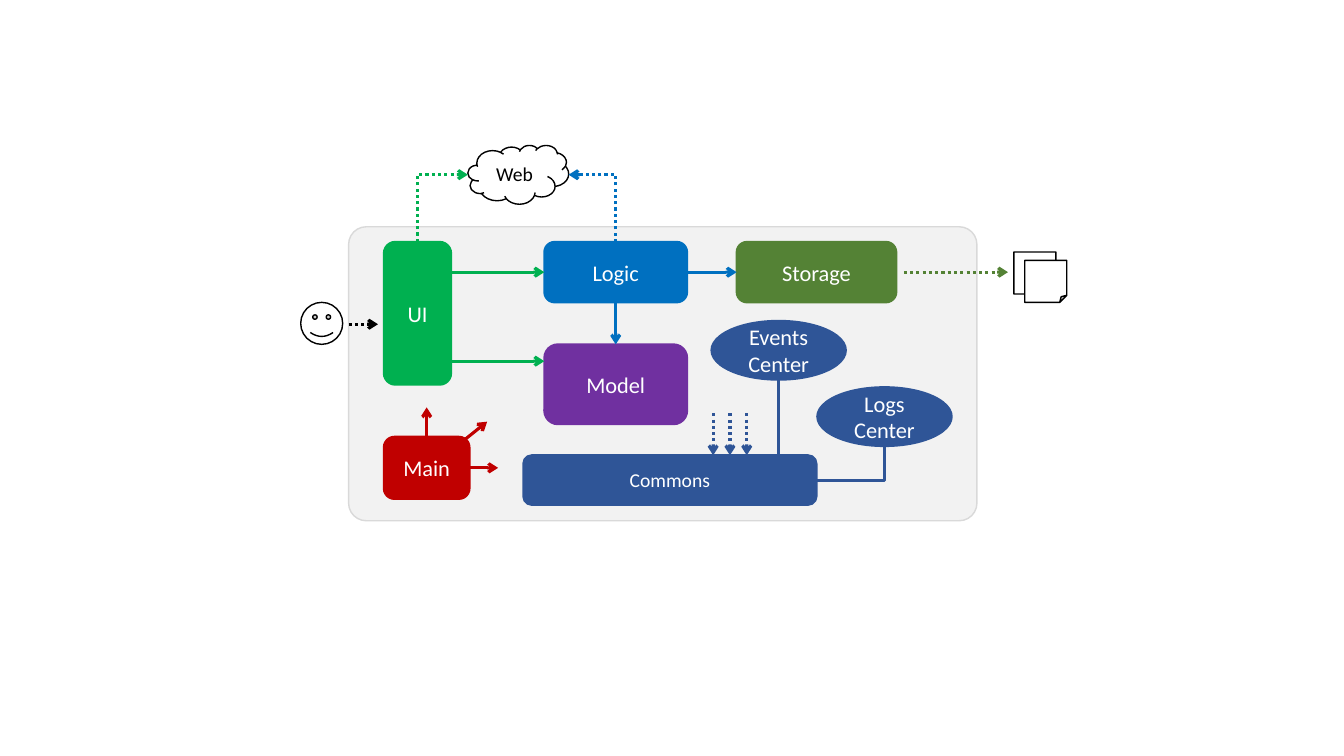
from dataclasses import dataclass

from lxml import etree
from pptx import Presentation
from pptx.dml.color import RGBColor
from pptx.enum.dml import MSO_LINE
from pptx.enum.shapes import MSO_CONNECTOR, MSO_SHAPE
from pptx.enum.text import MSO_ANCHOR, PP_ALIGN
from pptx.oxml.ns import qn
from pptx.util import Emu, Inches, Pt

ROUND = MSO_SHAPE.ROUNDED_RECTANGLE
OVAL = MSO_SHAPE.OVAL
CLOUD = MSO_SHAPE.CLOUD
SMILE = MSO_SHAPE.SMILEY_FACE
SHEET = MSO_SHAPE.FOLDED_CORNER
STRAIGHT = MSO_CONNECTOR.STRAIGHT
ELBOW = MSO_CONNECTOR.ELBOW
DOTS = MSO_LINE.ROUND_DOT
MIDDLE = MSO_ANCHOR.MIDDLE
CENTER = PP_ALIGN.CENTER
COLS, ROWS = 160, 90


@dataclass(frozen=True)
class Theme:
    font: str = "Calibri"
    white: str = "FFFFFF"
    black: str = "000000"
    pale: str = "F2F2F2"
    edge: str = "D9D9D9"
    green: str = "00B050"
    blue: str = "0070C0"
    olive: str = "548235"
    purple: str = "7030A0"
    navy: str = "2F5597"
    red: str = "C00000"
    large: float = 16
    small: float = 14
    thin: float = 1
    rim: float = 1.5
    thick: float = 2.25


@dataclass(frozen=True)
class Node:
    col: float
    row: float
    wide: float
    high: float
    fill: str
    text: str = ""
    kind: int = ROUND
    line: str = ""
    size: float = 16
    round: float = 0.17

    @property
    def right(self) -> float:
        return self.col + self.wide

    @property
    def base(self) -> float:
        return self.row + self.high

    @property
    def midx(self) -> float:
        return self.col + self.wide / 2

    @property
    def midy(self) -> float:
        return self.row + self.high / 2


@dataclass(frozen=True)
class Link:
    x1: float
    y1: float
    x2: float
    y2: float
    color: str
    dots: bool = False
    arrow: bool = True
    bent: bool = False


look = Theme()
deck = Presentation()
deck.slide_width, deck.slide_height = Inches(13.33), Inches(7.5)
slide = deck.slides.add_slide(deck.slide_layouts[6])


def across(cols: float) -> Emu:
    return Emu(round(deck.slide_width * cols / COLS))


def down(rows: float) -> Emu:
    return Emu(round(deck.slide_height * rows / ROWS))


def draw_node(node: Node) -> None:
    shape = slide.shapes.add_shape(
        node.kind, across(node.col), down(node.row), across(node.wide), down(node.high))
    shape.shadow.inherit = False
    shape.fill.solid()
    shape.fill.fore_color.rgb = RGBColor.from_string(node.fill)
    shape.line.color.rgb = RGBColor.from_string(node.line or node.fill)
    shape.line.width = Pt(look.thin if node.line else look.rim)
    if node.kind == ROUND:
        shape.adjustments[0] = node.round
    if not node.text:
        return
    frame = shape.text_frame
    frame.word_wrap = True
    frame.vertical_anchor = MIDDLE
    para = frame.paragraphs[0]
    para.alignment = CENTER
    for spot, part in enumerate(node.text.split("\n")):
        if spot:
            para.add_line_break()
        run = para.add_run()
        run.text = part
        run.font.name = look.font
        run.font.size = Pt(node.size)
        ink = look.black if node.fill == look.white else look.white
        run.font.color.rgb = RGBColor.from_string(ink)


def draw_link(link: Link) -> None:
    x1, y1, x2, y2 = across(link.x1), down(link.y1), across(link.x2), down(link.y2)
    if link.bent:
        midx, midy = (x1 + x2) // 2, (y1 + y2) // 2
        halfx, halfy = (x2 - x1) // 2, (y2 - y1) // 2
        wire = slide.shapes.add_connector(
            ELBOW, midx - halfy, midy + halfx, midx + halfy, midy - halfx)
        props = wire.element.spPr
        props.find(qn("a:xfrm")).set("rot", str(90 * 60000))
        props.find(qn("a:prstGeom")).set("prst", "bentConnector2")
    else:
        wire = slide.shapes.add_connector(STRAIGHT, x1, y1, x2, y2)
    wire.line.color.rgb = RGBColor.from_string(link.color)
    wire.line.width = Pt(look.thick)
    if link.dots:
        wire.line.dash_style = DOTS
    if link.arrow:
        stroke = wire.element.spPr.find(qn("a:ln"))
        etree.SubElement(stroke, qn("a:tailEnd")).set("type", "arrow")
    etree.SubElement(wire.element.spPr, qn("a:effectLst"))


panel = Node(41.5, 27, 74.8, 35, look.pale, line=look.edge, round=0.06)
ui = Node(45.7, 28.8, 8, 17, look.green, "UI")
logic = Node(64.8, ui.row, 17, 7.2, look.blue, "Logic")
storage = Node(87.7, ui.row, 19, 7.2, look.olive, "Storage")
model = Node(logic.col, 41, logic.wide, 9.5, look.purple, "Model")
commons = Node(62.3, 54.2, 34.9, 5.9, look.navy, "Commons", size=look.small)
main = Node(ui.col, 52, 10.2, 7.4, look.red, "Main")
user = Node(35.8, 36, 5, 5, look.white, kind=SMILE, line=look.black)
pages = [Node(120.7 + 1.3 * step, 30 + step, 5, 5, look.white, kind=SHEET,
              line=look.black) for step in range(2)]
events = Node(84.7, 38.2, 16, 7, look.navy, "Events Center", OVAL)
logs = Node(97.3, 46.1, 16, 7, look.navy, "Logs\nCenter", OVAL)
web = Node(55.7, 17.3, 12, 7, look.white, "Web", CLOUD, look.black, look.small)

nodes = [panel, ui, logic, storage, model, commons, user, *pages, main, events, logs, web]
links = [
    Link(ui.right, logic.midy, logic.col, logic.midy, look.green),
    Link(ui.right, 43, model.col, 43, look.green),
    Link(logic.midx, logic.base, logic.midx, model.row, look.blue),
    Link(logic.right, logic.midy, storage.col, logic.midy, look.blue),
    Link(panel.col, user.midy + 0.1, 45, user.midy + 0.1, look.black, dots=True),
    Link(107.6, logic.midy, 120, logic.midy, look.olive, dots=True),
    *[Link(col, commons.row - 5, col, commons.row, look.navy, dots=True)
      for col in (84.9, 86.9, 88.9)],
    Link(main.right, 55.7, 59.3, 55.7, look.red),
    Link(54, 53.4, 58, 50.2, look.red),
    Link(main.midx, main.row, main.midx, 48.5, look.red),
    Link(logs.midx, logs.base, commons.right, commons.midy, look.navy, arrow=False, bent=True),
    Link(events.midx, events.base, events.midx, commons.row, look.navy, arrow=False),
    Link(ui.midx, ui.row, web.col, web.midy, look.green, dots=True, bent=True),
    Link(logic.midx, logic.row, web.right, web.midy, look.blue, dots=True, bent=True),
]

for node in nodes:
    draw_node(node)
for link in links:
    draw_link(link)

deck.save("out.pptx")
